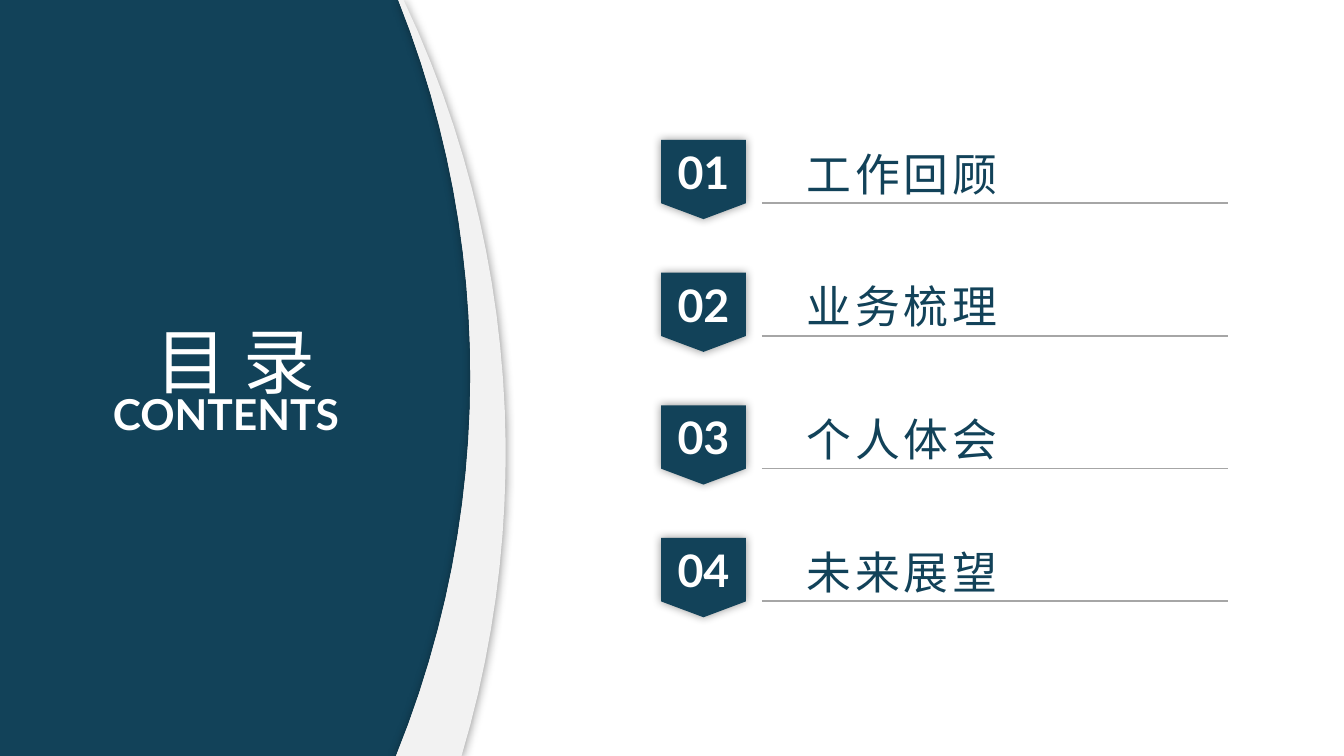
"""Build a contents slide: a curved title panel beside four numbered topics."""
from dataclasses import dataclass
from math import sqrt
from typing import Any

from lxml import etree
from pptx import Presentation
from pptx import util as u
from pptx.dml.color import RGBColor
from pptx.enum import shapes, text
from pptx.oxml import ns


@dataclass(frozen=True)
class Theme:
    navy: str = "124259"
    white: str = "FFFFFF"
    pale: str = "F2F2F2"
    grey: str = "A6A6A6"
    black: str = "000000"
    latin: str = "Lato"
    han: str = "Noto Sans CJK SC"
    title: float = 38.4
    sub: float = 22.8
    body: float = 24


@dataclass(frozen=True)
class Box:
    left: float
    top: float
    width: float
    height: float

    def emu(self) -> list[u.Length]:
        return [u.Pt(v) for v in (self.left, self.top, self.width, self.height)]


@dataclass(frozen=True)
class Type:
    font: str
    size: float
    color: str
    bold: bool = False
    space: float = 0


@dataclass(frozen=True)
class Arc:
    apex: float
    mid: float
    radius: float

    def points(self, steps: int = 24) -> list[tuple[float, float]]:
        rows = [HIGH * i / steps for i in range(steps + 1)]
        return [(self.apex - self.radius + sqrt(self.radius**2 - (y - self.mid)**2), y)
                for y in rows]


WIDE, HIGH = 720, 405
T = Theme()
PITCH = 71.1
TOPICS = ["工作回顾", "业务梳理", "个人体会", "未来展望"]
TITLE = Type(T.han, T.title, T.white)
SUB = Type(T.latin, T.sub, T.white, True)
BADGE = Type(T.latin, T.body, T.white, True)
LABEL = Type(T.han, T.body, T.navy, space=2.2)


def node(parent: Any, tag: str, **attrs: Any) -> Any:
    return etree.SubElement(parent, ns.qn(tag), {k: str(v) for k, v in attrs.items()})


def paint(shape: Any, color: str, glow: bool = False) -> None:
    shape.shadow.inherit = False
    shape.fill.solid()
    shape.fill.fore_color.rgb = RGBColor.from_string(color)
    shape.line.fill.background()
    if glow:
        effects = shape.element.spPr.find(ns.qn("a:effectLst"))
        shade = node(effects, "a:outerShdw", blurRad=u.Pt(5), dist=0, dir=0,
                     algn="ctr", rotWithShape=0)
        node(node(shade, "a:srgbClr", val=T.black), "a:alpha", val=40000)


def write(para: Any, words: str, kind: Type, align: Any) -> None:
    para.alignment = align
    run = para.add_run()
    run.text = words
    font = run.font
    font.size, font.bold, font.name = u.Pt(kind.size), kind.bold, kind.font
    font.color.rgb = RGBColor.from_string(kind.color)
    props = run._r.get_or_add_rPr()
    node(props, "a:ea", typeface=kind.font)
    if kind.space:
        props.set("spc", str(round(kind.space * 100)))


def add_text(tree: Any, box: Box, words: str, kind: Type, align: Any,
             wrap: bool = True, inset: bool = False, anchor: Any = text.MSO_ANCHOR.TOP) -> None:
    frame = tree.add_textbox(*box.emu()).text_frame
    frame.word_wrap = wrap
    frame.auto_size = text.MSO_AUTO_SIZE.SHAPE_TO_FIT_TEXT
    frame.vertical_anchor = anchor
    if not inset:
        frame.margin_left = frame.margin_right = 0
        frame.margin_top = frame.margin_bottom = 0
    write(frame.paragraphs[0], words, kind, align)


def add_area(tree: Any, points: list[tuple[float, float]], color: str,
             glow: bool = False) -> None:
    start, *rest = [(u.Pt(x), u.Pt(y)) for x, y in points]
    pen = tree.build_freeform(*start)
    pen.add_line_segments(rest, close=True)
    paint(pen.convert_to_shape(), color, glow)


def add_badge(tree: Any, box: Box, words: str) -> None:
    badge = tree.add_shape(shapes.MSO_SHAPE.FLOWCHART_OFFPAGE_CONNECTOR, *box.emu())
    paint(badge, T.navy, True)
    badge.text_frame.vertical_anchor = text.MSO_ANCHOR.MIDDLE
    write(badge.text_frame.paragraphs[0], words, BADGE, text.PP_ALIGN.CENTER)


def add_rule(tree: Any, left: float, right: float, y: float) -> None:
    rule = tree.add_connector(shapes.MSO_CONNECTOR.STRAIGHT,
                              u.Pt(left), u.Pt(y), u.Pt(right), u.Pt(y))
    rule.line.width = u.Pt(1)
    rule.line.color.rgb = RGBColor.from_string(T.grey)
    node(rule._element.spPr, "a:effectLst")


def add_topic(tree: Any, rank: int, words: str) -> None:
    top = 74.9 + PITCH * rank
    add_badge(tree, Box(354.2, top, 45.4, 42.5), f"{rank + 1:02}")
    add_rule(tree, 408.2, 658, top + 33.9)
    add_text(tree, Box(424.8, top, 121, 36), words, LABEL, text.PP_ALIGN.LEFT,
             wrap=False, inset=True)


def main() -> None:
    deck = Presentation()
    deck.slide_width, deck.slide_height = u.Pt(WIDE), u.Pt(HIGH)
    tree = deck.slides.add_slide(deck.slide_layouts[6]).shapes
    inner = Arc(252, 201, 542).points()
    outer = Arc(270.9, 243, 567).points()
    add_area(tree, [(0, 0), *inner, (0, HIGH)], T.navy)
    head = tree.add_group_shape().shapes
    add_text(head, Box(73.4, 169.2, 105.1, 46.8), "目 录", TITLE, text.PP_ALIGN.CENTER,
             anchor=text.MSO_ANCHOR.MIDDLE)
    add_text(head, Box(60.5, 208.1, 130.3, 27.4), "CONTENTS", SUB, text.PP_ALIGN.JUSTIFY)
    for rank, words in enumerate(TOPICS):
        add_topic(tree, rank, words)
    add_area(tree, inner + outer[::-1], T.pale, True)
    deck.save("out.pptx")


if __name__ == "__main__":
    main()
